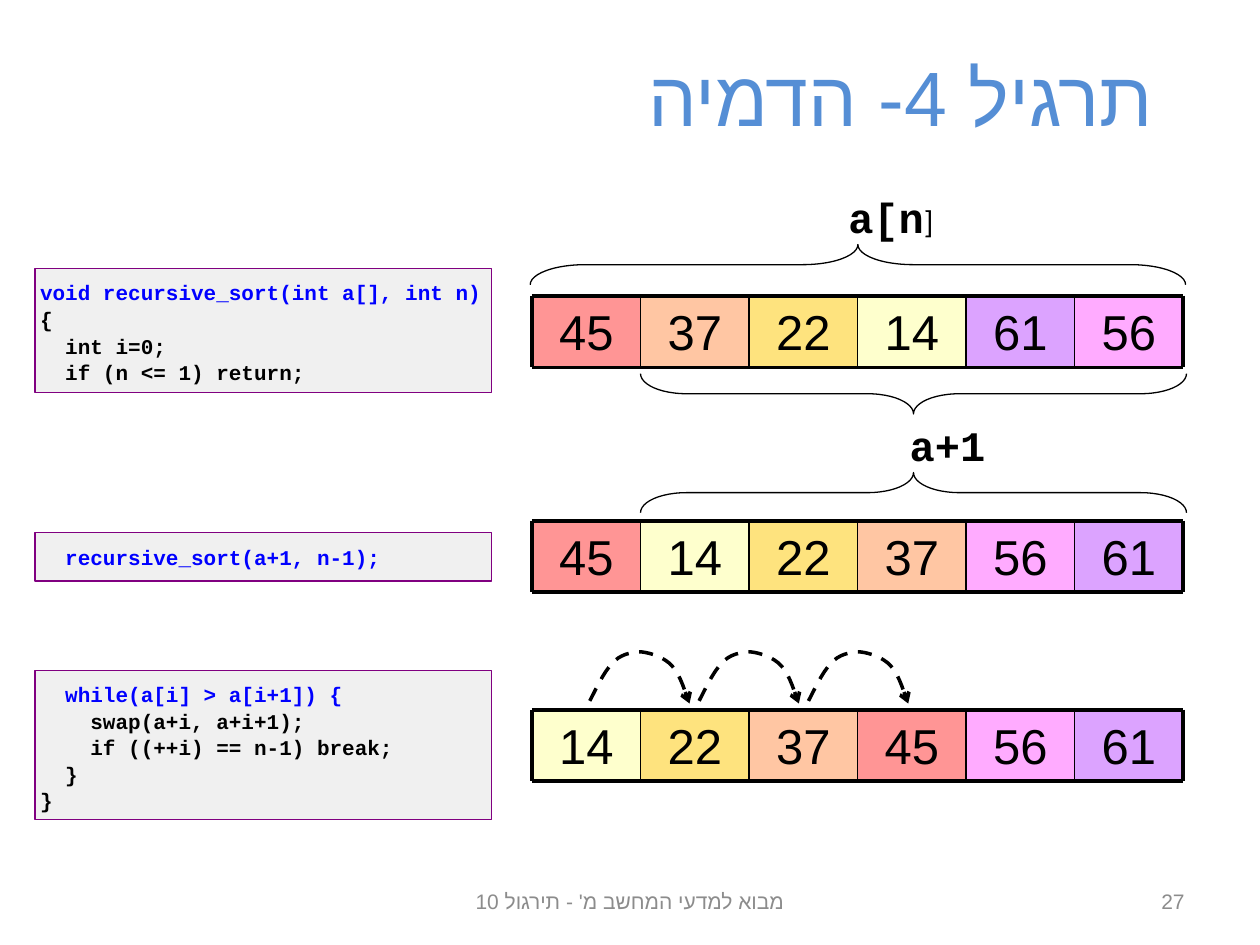
from dataclasses import dataclass
from math import comb

from lxml.etree import SubElement as Sub
from pptx import Presentation
from pptx.dml.color import RGBColor as Rgb
from pptx.enum.dml import MSO_LINE as Dash
from pptx.enum.shapes import MSO_CONNECTOR as Conn, MSO_SHAPE as Kind
from pptx.enum.text import MSO_ANCHOR as Anchor, PP_ALIGN as Align
from pptx.oxml.ns import qn
from pptx.util import Pt


@dataclass(frozen=True)
class Theme:
    black: str = "000000"
    blue: str = "0000FF"
    title: str = "558ED5"
    gray: str = "8C8C8C"
    panel: str = "F0F0F0"
    edge: str = "800080"
    head: int = 44
    cell: int = 28
    label: int = 24
    mark: int = 18
    code: int = 12
    foot: int = 12
    thick: float = 2.25
    thin: float = 1
    fine: float = 0.75
    sans: str = "Arial"
    body: str = "Calibri"
    mono: str = "Courier New"
    serif: str = "Times New Roman"


THEME = Theme()
HUES = {14: "FEFFCD", 22: "FEE37E", 37: "FFC6A3",
        45: "FF9595", 56: "FFABFF", 61: "DCA3FF"}
CELL = 62
ARC = [(0, 28), (2, 24.5), (8, 11), (13, 6.5), (17, 1.5), (24, 0), (29.5, 0),
       (35, 0.7), (42.5, 3), (47, 8), (52, 13), (55, 25), (57, 29.5)]


def write(shape, paras, align=Align.LEFT, anchor=Anchor.TOP, pad=(7.2, 3.6),
          gap=0, rtl=False, **base):
    frame = shape.text_frame
    frame.word_wrap = True
    frame.vertical_anchor = anchor
    frame.margin_left = frame.margin_right = Pt(pad[0])
    frame.margin_top = frame.margin_bottom = Pt(pad[1])
    for i, runs in enumerate(paras):
        para = frame.add_paragraph() if i else frame.paragraphs[0]
        para.alignment = align
        para.space_before = Pt(gap)
        if rtl:
            para._p.get_or_add_pPr().set("rtl", "1")
        for text, extra in runs:
            look = base | extra
            run = para.add_run()
            run.text = text
            font = run.font
            font.size = Pt(look["size"])
            font.bold = look.get("bold", False)
            font.color.rgb = Rgb.from_string(look["color"])
            font.name = look["face"]
            if rtl:
                props = run._r.get_or_add_rPr()
                props.set("lang", "he-IL")
                Sub(props, qn("a:cs"), typeface=THEME.sans)


def block(slide, kind, box, fill=None, edge=None):
    shape = slide.shapes.add_shape(kind, *map(Pt, box))
    shape.shadow.inherit = False
    if fill:
        shape.fill.solid()
        shape.fill.fore_color.rgb = Rgb.from_string(fill)
    else:
        shape.fill.background()
    if edge:
        shape.line.color.rgb = Rgb.from_string(edge)
        shape.line.width = Pt(THEME.fine)
    else:
        shape.line.fill.background()
    return shape


def rule(slide, ends, width):
    line = slide.shapes.add_connector(Conn.STRAIGHT, *map(Pt, ends))
    line.line.color.rgb = Rgb.from_string(THEME.black)
    line.line.width = Pt(width)
    Sub(line._element.spPr, qn("a:effectLst"))


def row(slide, box, nums):
    x, y, w, h = box
    step = w / len(nums)
    for i, num in enumerate(nums):
        cell = block(slide, Kind.RECTANGLE, (x + i * step, y, step, h), HUES[num])
        write(cell, [[(str(num), {})]], align=Align.CENTER, gap=3, rtl=True,
              size=THEME.cell, face=THEME.serif, color=THEME.black)
    for i in range(1, len(nums)):
        rule(slide, (x + i * step, y, x + i * step, y + h), THEME.thin)
    for side in (x, x + w):
        rule(slide, (side, y, side, y + h), THEME.thick)
    for side in (y, y + h):
        rule(slide, (x, side, x + w, side), THEME.thick)


def brace(slide, box, turn, curve):
    x, y, w, h = box
    upright = (x + (w - h) / 2, y + (h - w) / 2, h, w)
    shape = block(slide, Kind.RIGHT_BRACE, upright, edge=THEME.black)
    shape.rotation = turn
    shape.adjustments[0] = curve


def code(slide, box, lines):
    first, *rest = lines
    paras = [[(first, {"color": THEME.blue})]] + [[(line, {})] for line in rest]
    panel = block(slide, Kind.RECTANGLE, box, THEME.panel, THEME.edge)
    write(panel, paras, pad=(2.88, 6.48), gap=0.8, size=THEME.code,
          face=THEME.mono, color=THEME.black, bold=True)


def note(slide, box, runs, **look):
    area = slide.shapes.add_textbox(*map(Pt, box))
    write(area, [runs], rtl=True, **look)


def label(slide, box, runs):
    note(slide, box, runs, align=Align.RIGHT, gap=4.5, size=THEME.label,
         face=THEME.mono, color=THEME.black, bold=True)


def foot(slide, box, text, align):
    note(slide, box, [(text, {})], align=align, anchor=Anchor.MIDDLE,
         size=THEME.foot, face=THEME.body, color=THEME.gray)


def bend(ctrl, t):
    mix = [comb(3, k) * t ** k * (1 - t) ** (3 - k) for k in range(4)]
    return tuple(sum(m * p[axis] for m, p in zip(mix, ctrl)) for axis in (0, 1))


def hop(slide, x, y):
    dots = [ARC[0]] + [bend(ARC[i:i + 4], k / 8)
                       for i in range(0, len(ARC) - 1, 3) for k in range(1, 9)]
    dots = [(Pt(x + a), Pt(y + b)) for a, b in dots]
    path = slide.shapes.build_freeform(*dots[0])
    path.add_line_segments(dots[1:], close=False)
    arc = path.convert_to_shape()
    arc.shadow.inherit = False
    arc.fill.background()
    arc.line.color.rgb = Rgb.from_string(THEME.black)
    arc.line.width = Pt(2)
    arc.line.dash_style = Dash.DASH
    Sub(arc.line._get_or_add_ln(), qn("a:tailEnd"), type="arrow")


def head(slide, box, text):
    title = slide.shapes.title
    title.left, title.top, title.width, title.height = map(Pt, box)
    write(title, [[(text, {})]], align=Align.RIGHT, anchor=Anchor.MIDDLE, rtl=True,
          size=THEME.head, face=THEME.sans, color=THEME.title)


def main():
    deck = Presentation()
    deck.slide_width, deck.slide_height = Pt(720), Pt(540)
    slide = deck.slides.add_slide(deck.slide_layouts[5])
    head(slide, (54, 9.5, 612, 90), "תרגיל 4- הדמיה")

    left, wide = 304, 6 * CELL
    rows = {169: (45, 37, 22, 14, 61, 56),
            297.5: (45, 14, 22, 37, 56, 61),
            405.5: (14, 22, 37, 45, 56, 61)}
    for top, nums in rows.items():
        row(slide, (left, top, wide, 41), nums)

    brace(slide, (303, 139.7, 374.5, 23), 270, 1.371)
    brace(slide, (left + CELL, 213.5, 312, 23), 90, 1.142)
    brace(slide, (left + CELL, 270, 312, 23), 270, 1.142)
    label(slide, (461.5, 106, 79, 36),
          [("a[n", {}), ("]", {"size": THEME.mark, "face": THEME.body, "bold": False})])
    label(slide, (496, 236, 74, 36), [("a+1", {})])
    for i in range(3):
        hop(slide, 337 + i * 62.5, 372.5)

    code(slide, (20, 153.5, 261, 71),
         ["void recursive_sort(int a[], int n)", "{", "  int i=0;",
          "  if (n <= 1) return;"])
    code(slide, (20, 304.5, 261, 27.5), ["  recursive_sort(a+1, n-1);"])
    code(slide, (20, 383, 261, 85.5),
         ["  while(a[i] > a[i+1]) {", "    swap(a+i, a+i+1);",
          "    if ((++i) == n-1) break;", "  }", "}"])

    foot(slide, (246, 500.5, 228, 29), "מבוא למדעי המחשב מ' - תירגול 10", Align.CENTER)
    foot(slide, (516, 500.5, 168, 29), "27", Align.RIGHT)
    deck.save("out.pptx")


if __name__ == "__main__":
    main()
